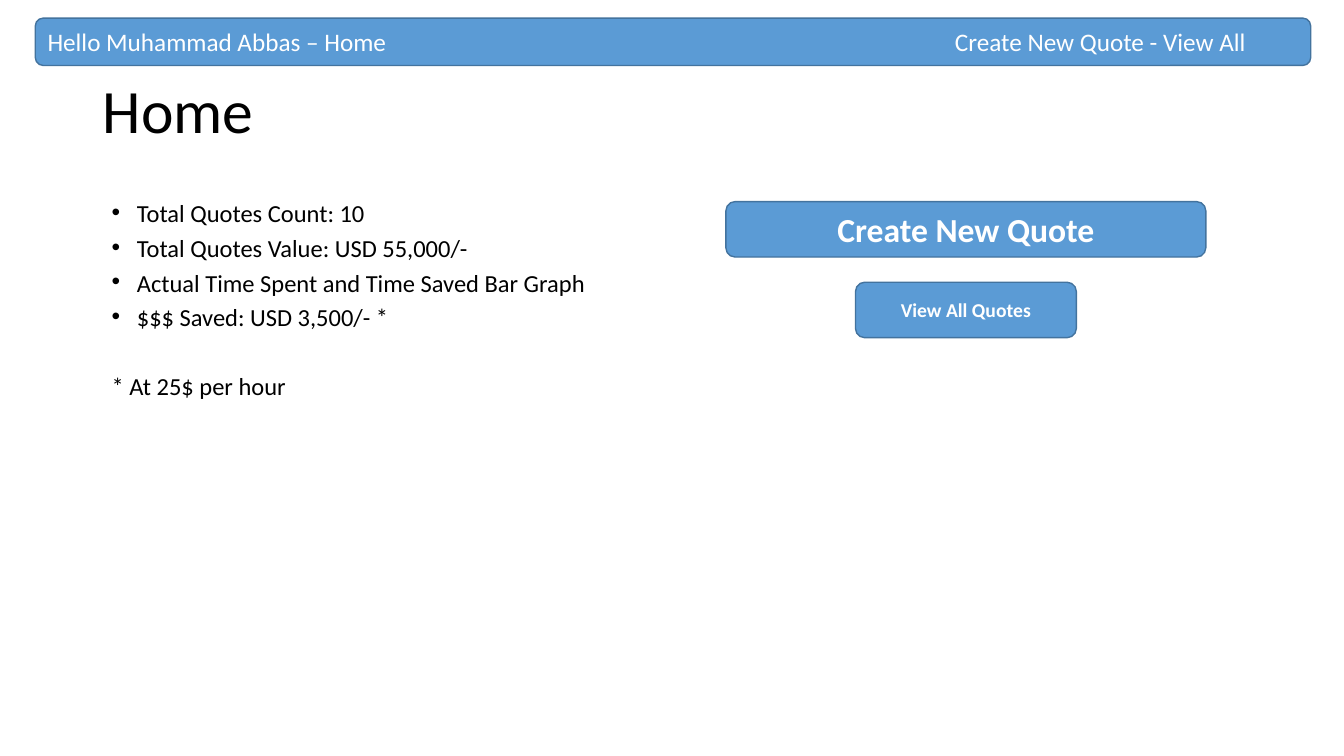
from dataclasses import dataclass
from lxml.etree import SubElement
from pptx import Presentation
from pptx.dml.color import RGBColor
from pptx.enum.shapes import MSO_SHAPE
from pptx.enum.text import MSO_ANCHOR, PP_ALIGN
from pptx.oxml.ns import qn
from pptx.util import Inches, Pt


@dataclass(frozen=True)
class Theme:
    font: str = "Calibri"
    ink: RGBColor = RGBColor(0, 0, 0)
    light: RGBColor = RGBColor(255, 255, 255)
    blue: RGBColor = RGBColor(0x5B, 0x9B, 0xD5)
    edge: RGBColor = RGBColor(0x43, 0x73, 0x9E)
    heading: float = 44
    nav: float = 18
    body: float = 17.5
    primary: float = 24
    secondary: float = 14


THEME = Theme()

HEADING = "Home"
NAV = "Hello Muhammad Abbas – Home\tCreate New Quote - View All"
STATS = [
    "Total Quotes Count: 10",
    "Total Quotes Value: USD 55,000/-",
    "Actual Time Spent and Time Saved Bar Graph",
    "$$$ Saved: USD 3,500/- *",
]
FOOTNOTE = "* At 25$ per hour"
BUTTONS = [
    ("Create New Quote", 4.76, THEME.primary),
    ("View All Quotes", 2.19, THEME.secondary),
]
BUTTON_CENTER, BUTTON_TOP, BUTTON_HEIGHT, BUTTON_PITCH = 9.58, 2, 0.55, 0.8
NAV_TAB = 9
BULLET_INDENT = 0.25
STAT_GAP, FOOTNOTE_GAP = 10, 34.7


def write(paragraph, words, size, color, bold=False):
    run = paragraph.add_run()
    run.text = words
    run.font.name = THEME.font
    run.font.size = Pt(size)
    run.font.color.rgb = color
    run.font.bold = bold


def add_text_area(left, top, width, height, anchor):
    frame = slide.shapes.add_textbox(*map(Inches, (left, top, width, height))).text_frame
    frame.word_wrap = True
    frame.vertical_anchor = anchor
    return frame


def add_panel(left, top, width, height):
    panel = slide.shapes.add_shape(
        MSO_SHAPE.ROUNDED_RECTANGLE, *map(Inches, (left, top, width, height)))
    panel.shadow.inherit = False
    panel.fill.solid()
    panel.fill.fore_color.rgb = THEME.blue
    panel.line.color.rgb = THEME.edge
    panel.line.width = Pt(1)
    panel.text_frame.vertical_anchor = MSO_ANCHOR.MIDDLE
    return panel.text_frame.paragraphs[0]


def add_bullet(paragraph):
    properties = paragraph._p.get_or_add_pPr()
    properties.set("marL", str(Inches(BULLET_INDENT)))
    properties.set("indent", str(-Inches(BULLET_INDENT)))
    SubElement(properties, qn("a:buFont"), typeface="Arial")
    SubElement(properties, qn("a:buChar"), char="•")


deck = Presentation()
deck.slide_width, deck.slide_height = Inches(13.33), Inches(7.5)
slide = deck.slides.add_slide(deck.slide_layouts[6])

heading = add_text_area(0.92, 0.4, 11.5, 1.45, MSO_ANCHOR.MIDDLE).paragraphs[0]
heading.line_spacing = 0.9
write(heading, HEADING, THEME.heading, THEME.ink)

nav = add_panel(0.35, 0.18, 12.65, 0.47)
nav.alignment = PP_ALIGN.LEFT
tabs = SubElement(nav._p.get_or_add_pPr(), qn("a:tabLst"))
SubElement(tabs, qn("a:tab"), pos=str(Inches(NAV_TAB)), algn="l")
write(nav, NAV, THEME.nav, THEME.light)

summary = add_text_area(1.01, 2, 5.67, 2.16, MSO_ANCHOR.TOP)
for index, entry in enumerate(STATS + [FOOTNOTE]):
    paragraph = summary.add_paragraph() if index else summary.paragraphs[0]
    is_stat = index < len(STATS)
    paragraph.line_spacing = 0.7
    paragraph.space_before = Pt(STAT_GAP if is_stat else FOOTNOTE_GAP)
    if is_stat:
        add_bullet(paragraph)
    write(paragraph, entry, THEME.body, THEME.ink)

for row, (label, width, size) in enumerate(BUTTONS):
    button = add_panel(BUTTON_CENTER - width / 2, BUTTON_TOP + row * BUTTON_PITCH,
                       width, BUTTON_HEIGHT)
    button.alignment = PP_ALIGN.CENTER
    write(button, label, size, THEME.light, bold=True)

deck.save("out.pptx")
